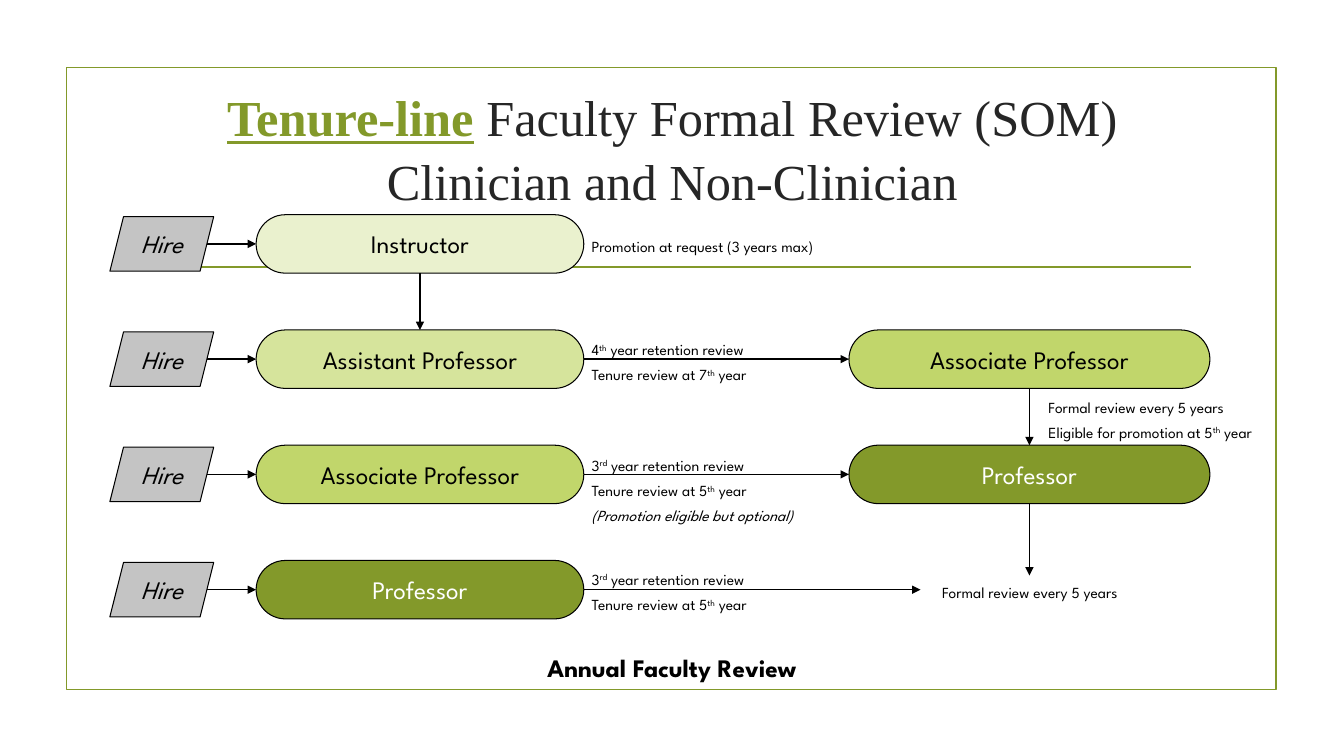
from dataclasses import dataclass
from typing import Optional

from lxml.etree import SubElement
from pptx import Presentation
from pptx.dml.color import RGBColor
from pptx.enum.shapes import MSO_CONNECTOR as Connector, MSO_SHAPE as Preset
from pptx.enum.text import MSO_ANCHOR as Anchor, MSO_AUTO_SIZE as AutoSize, PP_ALIGN as Align
from pptx.oxml.ns import qn
from pptx.util import Inches, Pt


@dataclass(frozen=True)
class Theme:
    olive: str = "83992A"
    lime: str = "C1D66B"
    light: str = "D6E49C"
    pale: str = "EAF1CE"
    grey: str = "C4C4C4"
    ink: str = "262626"
    black: str = "000000"
    white: str = "FFFFFF"
    title_font: str = "Times New Roman"
    body_font: str = "League Spartan"
    title_size: float = 36
    label_size: float = 18
    note_size: float = 11


@dataclass(frozen=True)
class Box:
    left: float
    top: float
    width: float
    height: float

    def emu(self) -> tuple:
        return tuple(Inches(v) for v in (self.left, self.top, self.width, self.height))


@dataclass(frozen=True)
class Rank:
    name: str
    column: int
    row: int
    fill: str
    color: str = Theme.black


@dataclass(frozen=True)
class Note:
    box: Box
    lines: tuple
    spacing: float = 18
    align: Align = Align.LEFT


@dataclass(frozen=True)
class Arrow:
    start: tuple
    end: tuple
    source: Optional[tuple] = None
    target: Optional[tuple] = None


THEME = Theme()
TOP, BOTTOM, LEFT, RIGHT = 0, 2, 1, 3
FIRST_ROW, ROW_COUNT = 2.13, 4
ROW_PITCH = (5.56 - FIRST_ROW) / (ROW_COUNT - 1)
RANK_HEIGHT = 0.58
COLUMNS = ((2.54, 3.25), (8.42, 3.58))
HIRE_LEFT, HIRE_WIDTH, HIRE_HEIGHT = 1.09, 1.03, 0.54
HIRE_ARROW_LEFT = 2.05
NOTE_LEFT, NOTE_WIDTH = 5.77, 2.65
RIGHT_CENTER = 10.21

RANKS = (
    Rank("Instructor", 0, 0, THEME.pale),
    Rank("Assistant Professor", 0, 1, THEME.light),
    Rank("Associate Professor", 0, 2, THEME.lime),
    Rank("Professor", 0, 3, THEME.olive, THEME.white),
    Rank("Associate Professor", 1, 1, THEME.lime),
    Rank("Professor", 1, 2, THEME.olive, THEME.white),
)

THIRD_YEAR = "3^rd^ year retention review"
TENURE_FIFTH = "Tenure review at 5^th^ year"
FIVE_YEARS = "Formal review every 5 years"
NOTES = (
    Note(Box(NOTE_LEFT, 2.26, 4.37, 0.3), ("Promotion at request (3 years max)",), 16),
    Note(Box(NOTE_LEFT, 3.26, NOTE_WIDTH, 0.61),
         ("4^th^ year retention review", "Tenure review at 7^th^ year")),
    Note(Box(NOTE_LEFT, 4.41, NOTE_WIDTH, 0.86),
         (THIRD_YEAR, TENURE_FIFTH, "(Promotion eligible but optional)")),
    Note(Box(NOTE_LEFT, 5.54, NOTE_WIDTH, 0.58), (THIRD_YEAR, TENURE_FIFTH)),
    Note(Box(10.3, 3.83, NOTE_WIDTH, 0.61),
         (FIVE_YEARS, "Eligible for promotion at 5^th^ year")),
    Note(Box(9.06, 5.67, 2.31, 0.32), (FIVE_YEARS,), align=Align.CENTER),
)


def row_top(row: int) -> float:
    return FIRST_ROW + row * ROW_PITCH


def row_middle(row: int) -> float:
    return row_top(row) + RANK_HEIGHT / 2


def style_run(run, size: float, color: str, font: str = THEME.body_font,
              bold: bool = False, italic: bool = False) -> None:
    run.font.name, run.font.size = font, Pt(size)
    run.font.bold, run.font.italic = bold, italic
    run.font.color.rgb = RGBColor.from_string(color)


def style_line(line, color: str, width: float) -> None:
    line.color.rgb = RGBColor.from_string(color)
    line.width = Pt(width)


def add_label(slide, preset: Preset, box: Box, text: str, fill: str,
              color: str = THEME.black, italic: bool = False):
    shape = slide.shapes.add_shape(preset, *box.emu())
    shape.shadow.inherit = False
    shape.fill.solid()
    shape.fill.fore_color.rgb = RGBColor.from_string(fill)
    style_line(shape.line, THEME.black, 0.75)
    frame = shape.text_frame
    frame.text, frame.vertical_anchor = text, Anchor.MIDDLE
    paragraph = frame.paragraphs[0]
    paragraph.alignment = Align.CENTER
    style_run(paragraph.runs[0], THEME.label_size, color, italic=italic)
    return shape


def add_line(slide, start: tuple, end: tuple, color: str, width: float):
    connector = slide.shapes.add_connector(
        Connector.STRAIGHT, *(Inches(v) for v in (*start, *end)))
    style_line(connector.line, color, width)
    SubElement(connector._element.spPr, qn("a:effectLst"))
    return connector


def add_arrow(slide, arrow: Arrow, shapes: dict) -> None:
    connector = add_line(slide, arrow.start, arrow.end, THEME.black, 1)
    outline = connector._element.spPr.find(qn("a:ln"))
    SubElement(outline, qn("a:tailEnd"), type="triangle")
    if arrow.source:
        column, row, side = arrow.source
        connector.begin_connect(shapes[column, row], side)
    if arrow.target:
        column, row, side = arrow.target
        connector.end_connect(shapes[column, row], side)


def add_note(slide, note: Note) -> None:
    frame = slide.shapes.add_textbox(*note.box.emu()).text_frame
    frame.word_wrap, frame.auto_size = True, AutoSize.SHAPE_TO_FIT_TEXT
    for index, line in enumerate(note.lines):
        paragraph = frame.add_paragraph() if index else frame.paragraphs[0]
        paragraph.alignment, paragraph.line_spacing = note.align, Pt(note.spacing)
        for part, text in enumerate(line.split("^")):
            run = paragraph.add_run()
            run.text = text
            style_run(run, THEME.note_size, THEME.black, italic="optional" in line)
            if part % 2:
                run._r.get_or_add_rPr().set("baseline", "30000")


def add_title(slide) -> None:
    title = slide.shapes.title
    title.left, title.top, title.width, title.height = Box(1.42, 0.74, 10.5, 1.43).emu()
    frame = title.text_frame
    frame.word_wrap, frame.auto_size = True, AutoSize.NONE
    frame.vertical_anchor = Anchor.MIDDLE
    paragraph = frame.paragraphs[0]
    paragraph.text = "Tenure-line"
    paragraph.alignment, paragraph.line_spacing = Align.CENTER, 1.05
    style_run(paragraph.runs[0], THEME.title_size, THEME.olive, THEME.title_font, bold=True)
    paragraph.runs[0].font.underline = True
    for index, text in enumerate((" Faculty Formal Review (SOM)", "Clinician and Non-Clinician")):
        if index:
            paragraph.add_line_break()
        run = paragraph.add_run()
        run.text = text
        style_run(run, THEME.title_size, THEME.ink, THEME.title_font)


def add_footer(slide) -> None:
    frame = slide.shapes.add_textbox(*Box(5.18, 6.42, 2.97, 0.4).emu()).text_frame
    frame.text, frame.word_wrap = "Annual Faculty Review", False
    frame.auto_size = AutoSize.SHAPE_TO_FIT_TEXT
    frame.paragraphs[0].alignment = Align.CENTER
    style_run(frame.paragraphs[0].runs[0], THEME.label_size, THEME.black, bold=True)


def main() -> None:
    presentation = Presentation()
    presentation.slide_width, presentation.slide_height = Inches(13.33), Inches(7.5)
    slide = presentation.slides.add_slide(presentation.slide_layouts[5])
    border = slide.shapes.add_shape(Preset.RECTANGLE, *Box(0.66, 0.67, 12, 6.17).emu())
    border.shadow.inherit = False
    border.fill.background()
    style_line(border.line, THEME.olive, 1.25)
    add_line(slide, (1.53, 2.65), (11.81, 2.65), THEME.olive, 1.25)
    add_title(slide)
    add_footer(slide)

    shapes = {}
    for rank in RANKS:
        left, width = COLUMNS[rank.column]
        shape = add_label(slide, Preset.ROUNDED_RECTANGLE,
                          Box(left, row_top(rank.row), width, RANK_HEIGHT),
                          rank.name, rank.fill, rank.color)
        shape.adjustments[0] = 0.5
        shapes[rank.column, rank.row] = shape

    arrows = [
        Arrow((4.17, 2.71), (4.17, 3.27), (0, 0, BOTTOM), (0, 1, TOP)),
        Arrow((RIGHT_CENTER, 3.86), (RIGHT_CENTER, 4.42), (1, 1, BOTTOM), (1, 2, TOP)),
        Arrow((RIGHT_CENTER, 5), (RIGHT_CENTER, 5.71), (1, 2, BOTTOM)),
        Arrow((5.79, row_middle(3)), (9.13, row_middle(3)), (0, 3, RIGHT)),
    ]
    arrows += [Arrow((5.79, row_middle(row)), (8.42, row_middle(row)),
                     (0, row, RIGHT), (1, row, LEFT)) for row in (1, 2)]
    for row in range(ROW_COUNT):
        top = row_middle(row) - HIRE_HEIGHT / 2
        add_label(slide, Preset.PARALLELOGRAM, Box(HIRE_LEFT, top, HIRE_WIDTH, HIRE_HEIGHT),
                  "Hire", THEME.grey, italic=True)
        arrows.append(Arrow((HIRE_ARROW_LEFT, row_middle(row)),
                            (COLUMNS[0][0], row_middle(row)), target=(0, row, LEFT)))
    for arrow in arrows:
        add_arrow(slide, arrow, shapes)
    for note in NOTES:
        add_note(slide, note)
    presentation.save("out.pptx")


if __name__ == "__main__":
    main()
